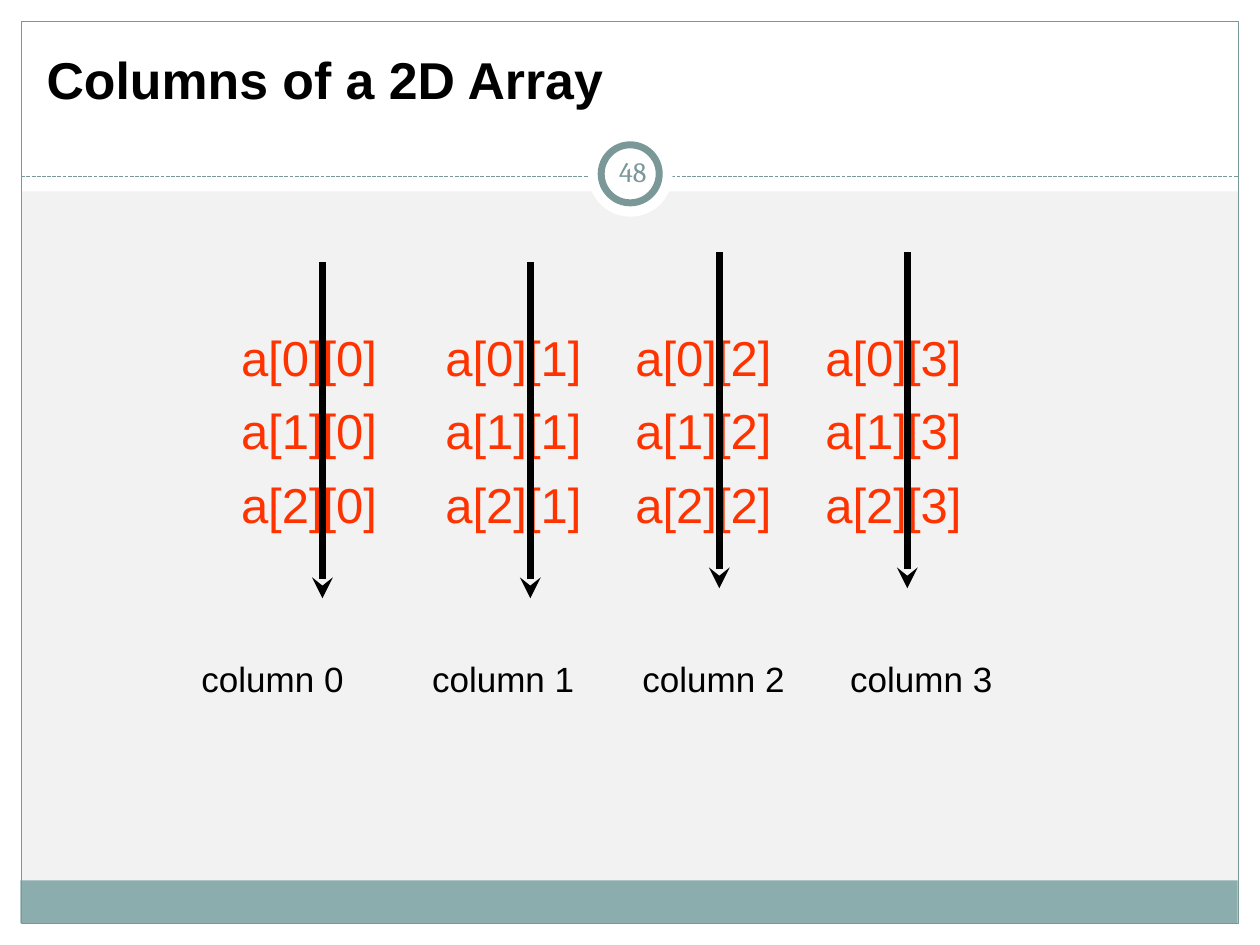
from dataclasses import dataclass

from pptx import Presentation
from pptx.dml.color import RGBColor
from pptx.enum.dml import MSO_LINE
from pptx.enum.shapes import MSO_CONNECTOR, MSO_SHAPE
from pptx.enum.text import MSO_ANCHOR as Anchor, PP_ALIGN as Align
from pptx.oxml.ns import qn
from pptx.shapes.autoshape import Shape
from pptx.shapes.connector import Connector
from pptx.slide import Slide
from pptx.text.text import _Paragraph as Paragraph
from pptx.util import Cm, Pt
from lxml.etree import SubElement

WHITE, BLACK, TEAL, BAND = "FFFFFF", "000000", "7B9899", "8CADAE"
GREY, RED = "F2F2F2", "FF3300"
WIDTH, HEIGHT, MARGIN = 25.4, 19.05, 0.43
ROWS = 3


@dataclass(frozen=True)
class Panel:
    left: float
    top: float
    width: float
    height: float
    fill: str | None = WHITE
    line: str | None = None
    weight: float = 0.75
    kind: MSO_SHAPE = MSO_SHAPE.RECTANGLE


@dataclass(frozen=True)
class Style:
    size: float
    color: str = BLACK
    font: str = "Arial"
    bold: bool = False


@dataclass(frozen=True)
class Column:
    tab: float
    arrow: float
    arrow_top: float
    label: float


FRAME = [
    Panel(0, 18.62, WIDTH, MARGIN),
    Panel(0, 0, WIDTH, 3.86),
    Panel(0, 0, MARGIN, HEIGHT),
    Panel(WIDTH - MARGIN, 0, MARGIN, HEIGHT),
    Panel(0.41, 17.75, 24.54, 0.86, BAND),
    Panel(MARGIN, MARGIN, 24.54, 18.19, None, TEAL),
]
BADGE = [
    Panel(11.86, 2.67, 1.7, 1.7, kind=MSO_SHAPE.OVAL),
    Panel(12.12, 2.92, 1.17, 1.17, WHITE, TEAL, 4, MSO_SHAPE.OVAL),
]
COLUMNS = [
    Column(3.54, 6.5, 5.28, 3.81),
    Column(7.66, 10.69, 5.28, 8.46),
    Column(11.49, 14.5, 5.08, 12.7),
    Column(15.32, 18.29, 5.08, 16.89),
]


def color(value: str) -> RGBColor:
    return RGBColor.from_string(value)


def draw_panel(page: Slide, panel: Panel) -> None:
    shape = page.shapes.add_shape(
        panel.kind, Cm(panel.left), Cm(panel.top), Cm(panel.width), Cm(panel.height)
    )
    shape.shadow.inherit = False
    if panel.fill:
        shape.fill.solid()
        shape.fill.fore_color.rgb = color(panel.fill)
    else:
        shape.fill.background()
    if panel.line:
        shape.line.color.rgb = color(panel.line)
        shape.line.width = Pt(panel.weight)
    else:
        shape.line.fill.background()


def draw_line(page: Slide, start: tuple[float, float], end: tuple[float, float],
              line: str, weight: float) -> Connector:
    connector = page.shapes.add_connector(
        MSO_CONNECTOR.STRAIGHT, *map(Cm, start), *map(Cm, end)
    )
    connector.line.color.rgb = color(line)
    connector.line.width = Pt(weight)
    SubElement(connector._element.spPr, qn("a:effectLst"))
    return connector


def draw_arrow(page: Slide, column: Column) -> None:
    arrow = draw_line(page, (column.arrow, column.arrow_top),
                      (column.arrow, column.arrow_top + 6.78), BLACK, 4)
    SubElement(arrow.line._get_or_add_ln(), qn("a:tailEnd"), type="stealth")


def add_text(page: Slide, left: float, top: float, width: float, height: float,
             text: str, style: Style, anchor: Anchor = Anchor.TOP) -> Shape:
    box = page.shapes.add_textbox(Cm(left), Cm(top), Cm(width), Cm(height))
    frame = box.text_frame
    frame.word_wrap = True
    frame.vertical_anchor = anchor
    frame.text = text
    for paragraph in frame.paragraphs:
        for span in paragraph.runs:
            span.font.size = Pt(style.size)
            span.font.name = style.font
            span.font.bold = style.bold
            span.font.color.rgb = color(style.color)
    return box


def set_tabs(paragraph: Paragraph, columns: list[Column]) -> None:
    tabs = SubElement(paragraph._p.get_or_add_pPr(), qn("a:tabLst"))
    for column in columns:
        SubElement(tabs, qn("a:tab"), pos=str(Cm(column.tab)), algn="l")


def draw_array(page: Slide) -> None:
    lines = [
        "".join(f"\ta[{row}][{number}]" for number in range(len(COLUMNS)))
        for row in range(ROWS)
    ]
    box = add_text(page, 1.07, 6.35, 22.66, 4.88, "\n".join(lines), Style(28, RED))
    box.text_frame.margin_top = Cm(0.25)
    for row, paragraph in enumerate(box.text_frame.paragraphs):
        set_tabs(paragraph, COLUMNS)
        if row:
            paragraph.space_before = Pt(8.4)


def main() -> None:
    deck = Presentation()
    deck.slide_width, deck.slide_height = Cm(WIDTH), Cm(HEIGHT)
    page = deck.slides.add_slide(deck.slide_layouts[6])
    page.background.fill.solid()
    page.background.fill.fore_color.rgb = color(GREY)

    for panel in FRAME:
        draw_panel(page, panel)
    divider = draw_line(page, (MARGIN, 3.56), (WIDTH - MARGIN, 3.56), TEAL, 0.75)
    divider.line.dash_style = MSO_LINE.SQUARE_DOT
    for panel in BADGE:
        draw_panel(page, panel)

    title = add_text(page, 0.69, 1.12, 21.59, 1.24, "Columns of a 2D Array",
                     Style(29.6, bold=True), Anchor.MIDDLE)
    title.text_frame.paragraphs[0].line_spacing = 0.7

    draw_array(page)
    for number, column in enumerate(COLUMNS):
        draw_arrow(page, column)
        add_text(page, column.label, 13.13, 4.24, 1.09, f"column {number}", Style(20))

    badge = add_text(page, 12.12, 2.84, 1.27, 1.22, "48",
                     Style(16, TEAL, "Cambria"), Anchor.MIDDLE)
    badge.text_frame.margin_left = badge.text_frame.margin_right = Cm(0.13)
    badge.text_frame.paragraphs[0].alignment = Align.CENTER

    deck.save("out.pptx")


if __name__ == "__main__":
    main()
